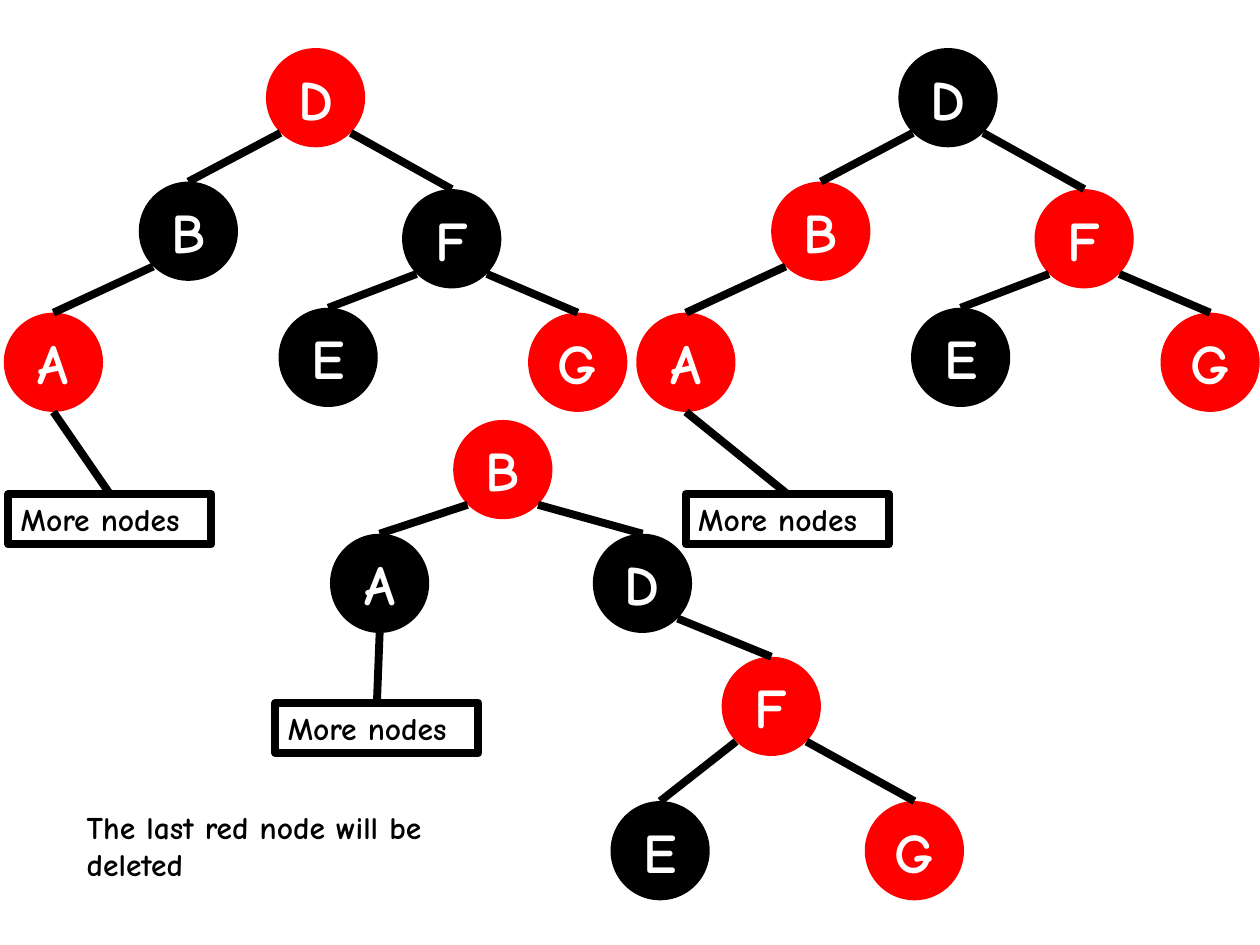
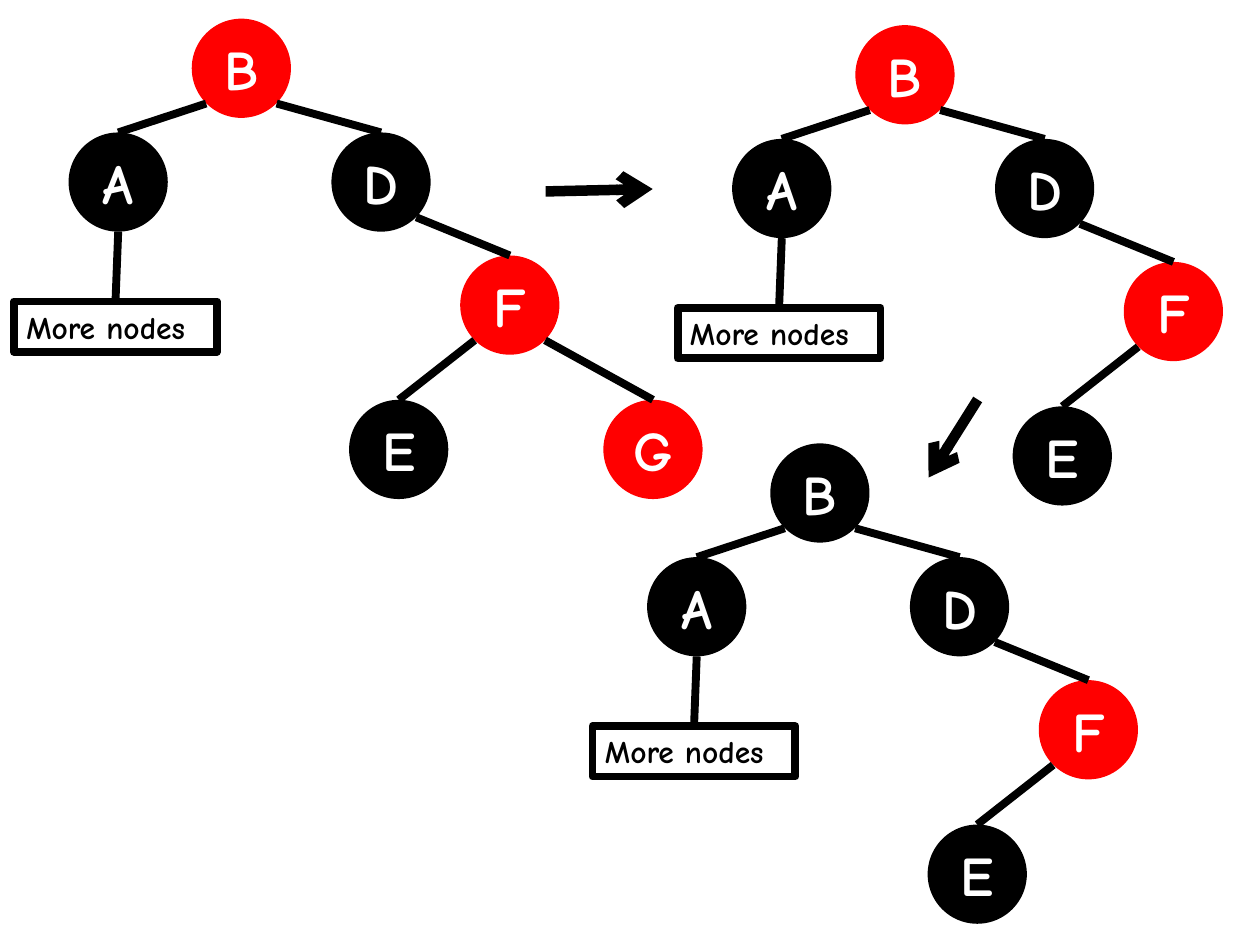
from lxml.etree import SubElement
from pptx import Presentation
from pptx.dml.color import RGBColor
from pptx.enum.shapes import MSO_CONNECTOR as Connector, MSO_SHAPE as Preset
from pptx.enum.text import MSO_ANCHOR as Anchor, PP_ALIGN as Align
from pptx.oxml.ns import qn
from pptx.util import Pt

RED, BLACK, WHITE = "FF0000", "000000", "FFFFFF"
DIAMETER = 56.7
RADIUS = DIAMETER / 2
DIAGONAL = RADIUS * 0.71
MORE_SIZE = (116, 28.8)

BALANCED = {
    "nodes": {"A": (-149.8, 151.2), "B": (-72.7, 76.3), "D": (0, 0),
              "F": (77.8, 80.6), "E": (7.2, 148.4), "G": (149.8, 151.2)},
    "edges": ["DB", "DF", "BA", "FE", "FG"],
}
ROTATED = {
    "nodes": {"A": (-70.4, 65), "B": (0, 0), "D": (79.8, 65),
              "F": (153.4, 135.3), "E": (89.9, 217.8), "G": (235.2, 217.8)},
    "edges": ["BA", "BD", "DF", "FE", "FG"],
}
ROTATED_MORE = (-101.6, 161.6)


def colour(code):
    """Turn a hex string into a colour."""
    return RGBColor.from_string(code)


class TreeDeck:
    """Holds the style and the current slide of the tree deck."""

    LETTER = {"size": Pt(32), "bold": True, "name": "Comic Neue"}
    LABEL = {"size": Pt(18), "bold": True, "name": "Comic Neue"}

    def __init__(self):
        """Start a deck of 10 by 7.5 inch slides."""
        self.deck = Presentation()
        self.deck.slide_width, self.deck.slide_height = Pt(720), Pt(540)
        self.slide = None

    def new_slide(self):
        """Add a blank slide and make it current."""
        self.slide = self.deck.slides.add_slide(self.deck.slide_layouts[6])

    def set_text(self, holder, lines, style, ink, align):
        """Put one paragraph per line in the given style."""
        frame = holder.text_frame
        frame.word_wrap = True
        frame.text = "\n".join(lines)
        for paragraph in frame.paragraphs:
            paragraph.alignment = align
            font = paragraph.runs[0].font
            for attribute, value in style.items():
                setattr(font, attribute, value)
            font.color.rgb = colour(ink)

    def node(self, letter, left, top, fill):
        """Draw a lettered tree node."""
        circle = self.slide.shapes.add_shape(
            Preset.OVAL, Pt(left), Pt(top), Pt(DIAMETER), Pt(DIAMETER))
        circle.shadow.inherit = False
        circle.fill.solid()
        circle.fill.fore_color.rgb = colour(fill)
        circle.line.fill.background()
        circle.text_frame.vertical_anchor = Anchor.MIDDLE
        self.set_text(circle, [letter], self.LETTER, WHITE, Align.CENTER)
        return circle

    def more_nodes(self, left, top):
        """Draw the outlined box that stands for a subtree."""
        box = self.slide.shapes.add_shape(
            Preset.RECTANGLE, Pt(left), Pt(top), *map(Pt, MORE_SIZE))
        box.shadow.inherit = False
        box.fill.background()
        box.line.color.rgb = colour(BLACK)
        box.line.width = Pt(4.5)
        box.text_frame.vertical_anchor = Anchor.TOP
        self.set_text(box, ["More nodes"], self.LABEL, BLACK, Align.LEFT)
        return box

    def caption(self, lines, left, top, width, height):
        """Place a plain text caption."""
        note = self.slide.shapes.add_textbox(
            Pt(left), Pt(top), Pt(width), Pt(height))
        self.set_text(note, lines, self.LABEL, BLACK, Align.LEFT)

    def line(self, start, end, width=4.5):
        """Draw a straight black line."""
        link = self.slide.shapes.add_connector(
            Connector.STRAIGHT, *map(Pt, (*start, *end)))
        link.line.color.rgb = colour(BLACK)
        link.line.width = Pt(width)
        SubElement(link._element.spPr, qn("a:effectLst"))
        return link

    def edge(self, start, child):
        """Draw a line from a point to the top of a child."""
        top = ((child.left + child.width / 2) / Pt(1), child.top / Pt(1))
        self.line(start, top).end_connect(child, 0)

    def step_arrow(self, start, end):
        """Draw the arrow that leads to the next tree."""
        outline = self.line(start, end, 6)._element.spPr.find(qn("a:ln"))
        SubElement(outline, qn("a:tailEnd"), type="arrow")

    def tree(self, layout, root, letters, red, more):
        """Draw the chosen nodes of a layout, its edges and its subtree box."""
        spots = {letter: (root[0] + layout["nodes"][letter][0],
                          root[1] + layout["nodes"][letter][1])
                 for letter in letters}
        nodes = {letter: self.node(letter, *spot, RED if letter in red else BLACK)
                 for letter, spot in spots.items()}
        for parent, child in layout["edges"]:
            if child in nodes:
                left, top = spots[parent]
                side = -1 if spots[child][0] < left else 1
                self.edge((left + RADIUS + side * DIAGONAL,
                           top + RADIUS + DIAGONAL), nodes[child])
        subtree = self.more_nodes(root[0] + more[0], root[1] + more[1])
        left, top = spots["A"]
        self.edge((left + RADIUS, top + DIAMETER), subtree)


def main():
    """Build the two slides on deleting a red node."""
    deck = TreeDeck()

    deck.new_slide()
    deck.tree(BALANCED, (152, 27.5), "ABDFEG", "ADG", (-147.2, 254.8))
    deck.tree(BALANCED, (513.4, 27.5), "ABDFEG", "ABFG", (-121.5, 254.8))
    deck.tree(ROTATED, (259, 240), "ABDFEG", "BFG", ROTATED_MORE)
    deck.caption(["The last red node will be", "deleted"], 42.5, 458, 249, 51)

    deck.new_slide()
    deck.tree(ROTATED, (109.6, 10.7), "ABDFEG", "BFG", ROTATED_MORE)
    deck.tree(ROTATED, (488.8, 14.4), "ABDFE", "BF", ROTATED_MORE)
    deck.tree(ROTATED, (440.2, 253.4), "ABDFE", "F", ROTATED_MORE)
    deck.step_arrow((311.8, 109.4), (373, 108))
    deck.step_arrow((558.7, 228.3), (530.6, 272.9))

    deck.deck.save("out.pptx")


if __name__ == "__main__":
    main()
